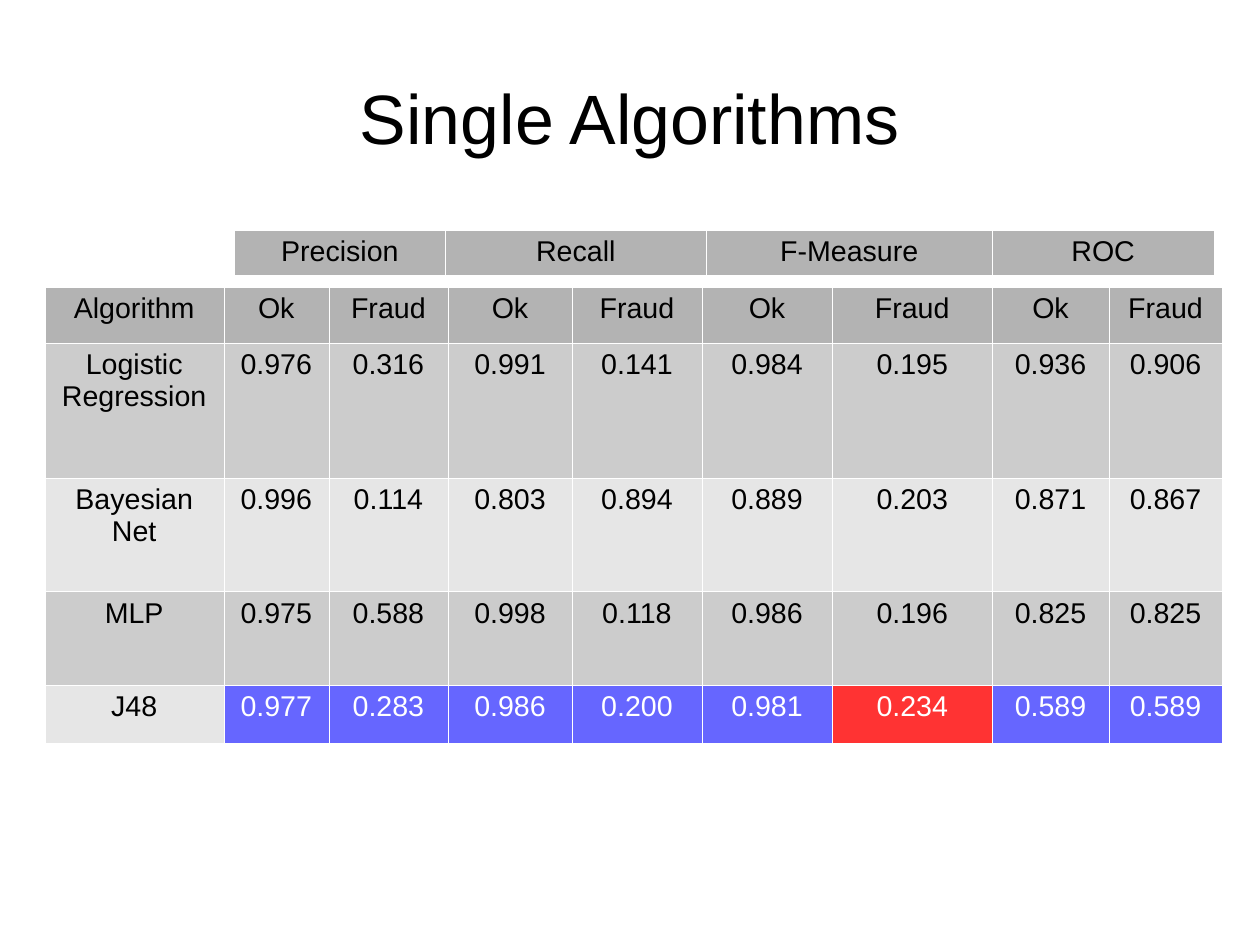
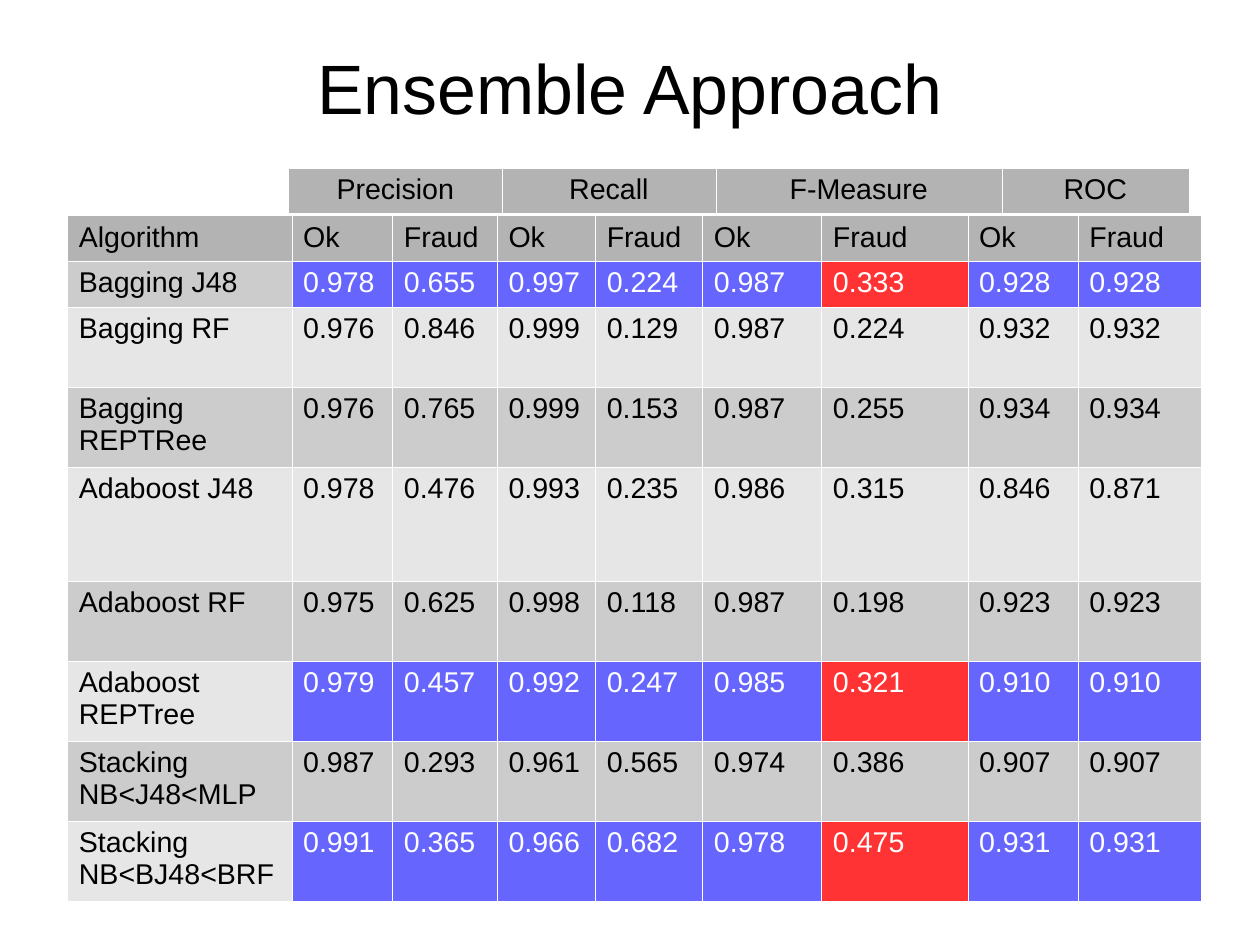
from lxml.etree import SubElement
from pptx import Presentation
from pptx.dml.color import RGBColor
from pptx.enum.text import MSO_ANCHOR as Anchor, PP_ALIGN as Align
from pptx.oxml.ns import qn
from pptx.util import Cm, Inches, Pt

SLIDE_WIDTH = Cm(28)
SLIDE_HEIGHT = Cm(21)
FONT = "Arial"
BLACK, WHITE = "000000", "FFFFFF"
HEADER_FILL = "B3B3B3"
BAND_FILLS = ("CCCCCC", "E6E6E6")
BEST_FILL, BEST_SCORE_FILL = "6666FF", "FF3333"
BEST_SCORE_COLUMN = 6
GROUPS = ["Precision", "Recall", "F-Measure", "ROC"]
HEADER = ["Algorithm"] + ["Ok", "Fraud"] * len(GROUPS)
GROUP_HEIGHT = 4.75

SINGLE_RESULTS = [
    ("Logistic Regression", "0.976 0.316 0.991 0.141 0.984 0.195 0.936 0.906"),
    ("Bayesian Net", "0.996 0.114 0.803 0.894 0.889 0.203 0.871 0.867"),
    ("MLP", "0.975 0.588 0.998 0.118 0.986 0.196 0.825 0.825"),
    ("J48", "0.977 0.283 0.986 0.200 0.981 0.234 0.589 0.589"),
]
ENSEMBLE_RESULTS = [
    ("Bagging J48", "0.978 0.655 0.997 0.224 0.987 0.333 0.928 0.928"),
    ("Bagging RF", "0.976 0.846 0.999 0.129 0.987 0.224 0.932 0.932"),
    ("Bagging\nREPTRee", "0.976 0.765 0.999 0.153 0.987 0.255 0.934 0.934"),
    ("Adaboost J48", "0.978 0.476 0.993 0.235 0.986 0.315 0.846 0.871"),
    ("Adaboost RF", "0.975 0.625 0.998 0.118 0.987 0.198 0.923 0.923"),
    ("Adaboost\nREPTree", "0.979 0.457 0.992 0.247 0.985 0.321 0.910 0.910"),
    ("Stacking NB<J48<MLP", "0.987 0.293 0.961 0.565 0.974 0.386 0.907 0.907"),
    ("Stacking NB<BJ48<BRF", "0.991 0.365 0.966 0.682 0.978 0.475 0.931 0.931"),
]


def across(percent):
    """Return a share of the slide's width."""
    return round(SLIDE_WIDTH * percent / 100)


def down(percent):
    """Return a share of the slide's height."""
    return round(SLIDE_HEIGHT * percent / 100)


def color(value):
    """Turn a hex string into a colour."""
    return RGBColor.from_string(value)


def write(frame, text, size=18, ink=BLACK, align=Align.CENTER):
    """Put formatted text into a text frame."""
    frame.text = text
    for paragraph in frame.paragraphs:
        paragraph.alignment = align
        for run in paragraph.runs:
            run.font.name, run.font.size = FONT, Pt(size)
            run.font.color.rgb = color(ink)


def add_title(slide, text, height):
    """Add the centred slide title."""
    box = slide.shapes.add_textbox(across(5), down(4), across(90), down(height))
    frame = box.text_frame
    frame.word_wrap = True
    frame.vertical_anchor = Anchor.MIDDLE
    frame.margin_left = frame.margin_right = frame.margin_top = frame.margin_bottom = 0
    write(frame, text, size=44)


def add_borders(cell):
    """Draw hairline white borders around a cell."""
    properties = cell._tc.get_or_add_tcPr()
    for side in ("a:lnL", "a:lnR", "a:lnT", "a:lnB"):
        line = SubElement(properties, qn(side), w=str(Pt(0.06)))
        fill = SubElement(line, qn("a:solidFill"))
        SubElement(fill, qn("a:srgbClr"), val=WHITE)


def add_grid(slide, left, top, columns, rows, texts, style, align=Align.CENTER):
    """Add a table whose cell fill and ink come from the style function."""
    table = slide.shapes.add_table(
        len(rows), len(columns), across(left), down(top), across(sum(columns)), down(sum(rows))
    ).table
    table.first_row = table.horz_banding = False
    for column, width in zip(table.columns, columns):
        column.width = across(width)
    for row, height in zip(table.rows, rows):
        row.height = down(height)
    for row_index, row_texts in enumerate(texts):
        for column_index, text in enumerate(row_texts):
            cell = table.cell(row_index, column_index)
            fill, ink = style(row_index, column_index)
            add_borders(cell)
            cell.fill.solid()
            cell.fill.fore_color.rgb = color(fill)
            cell.margin_left = cell.margin_right = Inches(0.1)
            cell.margin_top = cell.margin_bottom = Inches(0.05)
            write(cell.text_frame, text, ink=ink, align=align)


def header_style(row, column):
    """Return the fill and ink of a header cell."""
    return HEADER_FILL, BLACK


def result_style(best_rows):
    """Build the style function of a result table with highlighted rows."""

    def style(row, column):
        """Return the fill and ink of a result cell."""
        if row == 0:
            return header_style(row, column)
        if row in best_rows and column > 0:
            return (BEST_SCORE_FILL if column == BEST_SCORE_COLUMN else BEST_FILL), WHITE
        return BAND_FILLS[(row - 1) % 2], BLACK

    return style


def add_groups(slide, left, top, columns):
    """Add the row of measure names above a result table."""
    add_grid(slide, left, top, columns, [GROUP_HEIGHT], [GROUPS], header_style)


def add_results(slide, left, top, columns, rows, results, best_rows, align):
    """Add a table of algorithm scores."""
    texts = [HEADER] + [[name] + scores.split() for name, scores in results]
    add_grid(slide, left, top, columns, rows, texts, result_style(best_rows), align)


def main():
    """Build and save the presentation."""
    presentation = Presentation()
    presentation.slide_width = SLIDE_WIDTH
    presentation.slide_height = SLIDE_HEIGHT
    blank = presentation.slide_layouts[6]

    single = presentation.slides.add_slide(blank)
    add_title(single, "Single Algorithms", 16.7)
    add_results(
        single, 3.55, 30.35,
        [14.2, 8.35, 9.45, 9.85, 10.3, 10.35, 12.7, 9.25, 9],
        [5.9, 14.3, 12.05, 9.9, 6.1],
        SINGLE_RESULTS, {4}, Align.CENTER,
    )
    add_groups(single, 18.6, 24.3, [16.75, 20.7, 22.7, 17.6])

    ensemble = presentation.slides.add_slide(blank)
    add_title(ensemble, "Ensemble Approach", 10.3)
    add_results(
        ensemble, 5.35, 22.8,
        [17.8, 8, 8.3, 7.8, 8.5, 9.45, 11.6, 8.75, 9.75],
        [4.85] * 2 + [8.45] * 2 + [12.1] + [8.45] * 4,
        ENSEMBLE_RESULTS, {1, 6, 8}, Align.LEFT,
    )
    add_groups(ensemble, 22.9, 17.75, [16.95, 16.95, 22.7, 14.85])

    presentation.save("out.pptx")


if __name__ == "__main__":
    main()
